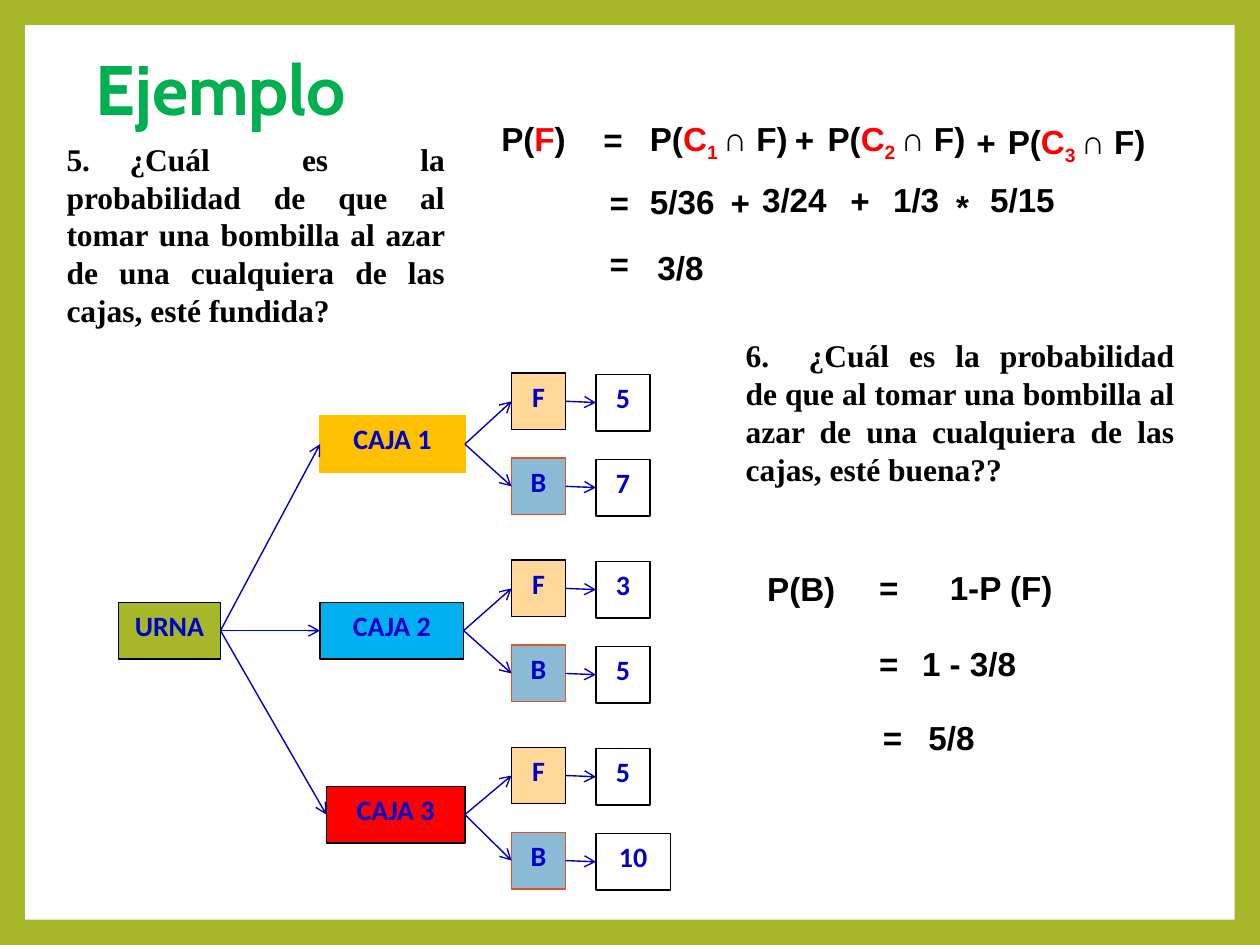
"""Build a slide with a probability tree of boxes and bulbs and its worked formulas."""
import pptx
import pptx.util
import pptx.dml.color
import pptx.enum.dml
import pptx.enum.shapes
import pptx.enum.text
import pptx.oxml
import pptx.oxml.ns
from lxml import etree

WIDTH, HEIGHT, MARGIN = 10, 7.5, 0.2
GREEN, BLACK, BLUE, RED = "A6B727", "000000", "0000CC", "FF0000"
BOX_HEIGHT, LETTER_WIDTH = 0.45, 0.43
LETTER_LEFT, COUNT_LEFT = 4.06, 4.73
FIRST_TOP, GROUP_PITCH, LETTER_PITCH = 2.96, 1.485, 0.675

ROOT = ("URNA", 0.94, 4.78, 0.81)
CRATES = [
    ("CAJA 1", 2.54, 3.3, 1.15, "FFC000", "FFC000", ("5", "7")),
    ("CAJA 2", 2.54, 4.78, 1.14, "00B0F0", BLACK, ("3", "5")),
    ("CAJA 3", 2.59, 6.24, 1.1, RED, BLACK, ("5", "10")),
]
LETTERS = [("F", "FFD899", BLACK), ("B", "8ABAD4", "DF5327")]

QUESTIONS = [
    ("5.\t¿Cuál es la probabilidad de que al tomar una bombilla al azar "
     "de una cualquiera de las cajas, esté fundida?", 0.43, 1.06, 3.2),
    ("6.\t¿Cuál es la probabilidad de que al tomar una bombilla al azar "
     "de una cualquiera de las cajas, esté buena??", 5.82, 2.62, 3.6),
]


def intersection(number):
    """Return the runs of P(C ∩ F) for one numbered crate."""
    return [("P(", BLACK, 0), ("C", RED, 0), (number + " ", RED, -25), ("∩ F)", BLACK, 0)]


FORMULAS = [
    ([("P(", BLACK, 0), ("F", RED, 0), (")", BLACK, 0)], 3.88, 0.89, 0.72),
    ("=", 4.69, 0.9, 0.36),
    (intersection("1"), 5.06, 0.89, 1.33),
    ("+", 6.21, 0.9, 0.36),
    (intersection("2"), 6.47, 0.89, 1.33),
    ("+", 7.65, 0.92, 0.36),
    (intersection("3"), 7.9, 0.91, 1.33),
    ("=", 4.74, 1.4, 0.36),
    ("5/36", 5.06, 1.39, 0.72),
    ("+", 5.7, 1.4, 0.36),
    ("3/24", 5.95, 1.37, 0.72),
    ("+", 6.65, 1.38, 0.36),
    ("1/3", 6.99, 1.37, 0.57),
    ("*", 7.49, 1.43, 0.31),
    ("5/15", 7.76, 1.37, 0.72),
    ("=", 4.74, 1.88, 0.36),
    ("3/8", 5.12, 1.91, 0.57),
    ("P(B)", 5.99, 4.46, 0.75),
    ("=", 6.88, 4.45, 0.36),
    ("1-P (F)", 7.44, 4.45, 1.03),
    ("=", 6.88, 5.06, 0.36),
    ("1 - 3/8", 7.22, 5.06, 0.96),
    ("=", 6.91, 5.64, 0.36),
    ("5/8", 7.27, 5.64, 0.57),
]


def rgb(value):
    return pptx.dml.color.RGBColor.from_string(value)


def inches(*lengths):
    return [pptx.util.Inches(length) for length in lengths]


def write(shape, content, font, size, color=BLACK, align="LEFT", wrap=True, grow=False):
    """Fill a shape with bold text given as a string or as (text, colour, baseline) runs."""
    frame = shape.text_frame
    frame.word_wrap = wrap
    if grow:
        frame.auto_size = pptx.enum.text.MSO_AUTO_SIZE.SHAPE_TO_FIT_TEXT
    paragraph = frame.paragraphs[0]
    paragraph.alignment = getattr(pptx.enum.text.PP_ALIGN, align)
    runs = [(content, color, 0)] if isinstance(content, str) else content
    for text, run_color, baseline in runs:
        run = paragraph.add_run()
        run.text = text
        run.font.name, run.font.size, run.font.bold = font, pptx.util.Pt(size), True
        run.font.color.rgb = rgb(run_color)
        if baseline:
            run.font._element.set("baseline", str(baseline * 1000))
    return frame


def add_box(slide, left, top, width, height, fill=None, line=None, label=None):
    box = slide.shapes.add_shape(
        pptx.enum.shapes.MSO_SHAPE.RECTANGLE, *inches(left, top, width, height))
    box.shadow.inherit = False
    if fill:
        box.fill.solid()
        box.fill.fore_color.rgb = rgb(fill)
    else:
        box.fill.background()
    if line:
        box.line.color.rgb = rgb(line)
        box.line.width = pptx.util.Pt(0.75)
    else:
        box.line.fill.background()
    if label:
        frame = write(box, label, "Calibri", 16, color=BLUE, align="CENTER")
        frame.vertical_anchor = pptx.enum.text.MSO_ANCHOR.TOP
    return box


def add_arrow(slide, source, target):
    arrow = slide.shapes.add_connector(pptx.enum.shapes.MSO_CONNECTOR.STRAIGHT, 0, 0, 0, 0)
    arrow.begin_connect(source, 3)
    arrow.end_connect(target, 1)
    arrow.line.color.rgb = rgb(BLUE)
    arrow.line.width = pptx.util.Pt(0.79)
    etree.SubElement(arrow.line._get_or_add_ln(), pptx.oxml.ns.qn("a:tailEnd"), type="arrow")
    etree.SubElement(arrow._element.spPr, pptx.oxml.ns.qn("a:effectLst"))


def add_tree(slide):
    label, left, top, width = ROOT
    urn = add_box(slide, left, top, width, BOX_HEIGHT, GREEN, BLACK, label)
    for group, (label, left, top, width, fill, line, counts) in enumerate(CRATES):
        crate = add_box(slide, left, top, width, BOX_HEIGHT, fill, line, label)
        add_arrow(slide, urn, crate)
        for row, ((letter, tint, edge), count) in enumerate(zip(LETTERS, counts)):
            letter_top = FIRST_TOP + group * GROUP_PITCH + row * LETTER_PITCH
            bulb = add_box(slide, LETTER_LEFT, letter_top, LETTER_WIDTH, BOX_HEIGHT,
                           tint, edge, letter)
            count_width = LETTER_WIDTH + 0.16 * (len(count) - 1)
            total = add_box(slide, COUNT_LEFT, letter_top + 0.01, count_width, BOX_HEIGHT,
                            line=BLACK, label=count)
            add_arrow(slide, crate, bulb)
            add_arrow(slide, bulb, total)


def main():
    deck = pptx.Presentation()
    deck.slide_width, deck.slide_height = inches(WIDTH, HEIGHT)
    slide = deck.slides.add_slide(deck.slide_layouts[6])
    slide.background.fill.solid()
    slide.background.fill.fore_color.rgb = rgb(GREEN)
    add_box(slide, MARGIN, MARGIN, WIDTH - 2 * MARGIN, HEIGHT - 2 * MARGIN, "FFFFFF")

    title = slide.shapes.add_textbox(*inches(0.43, 0.34, 2.65, 0.8))
    frame = write(title, "Ejemplo", "Cabin", 40, color="00B050", align="CENTER")
    frame.vertical_anchor = pptx.enum.text.MSO_ANCHOR.MIDDLE
    frame.paragraphs[0].line_spacing = 0.9

    add_tree(slide)
    for question, left, top, width in QUESTIONS:
        write(slide.shapes.add_textbox(*inches(left, top, width, 1.62)), question,
              "Times New Roman", 18, align="JUSTIFY", grow=True)
    for formula, left, top, width in FORMULAS:
        write(slide.shapes.add_textbox(*inches(left, top, width, 0.42)), formula,
              "Arial", 19, wrap=False, grow=True)
    deck.save("out.pptx")


if __name__ == "__main__":
    main()
